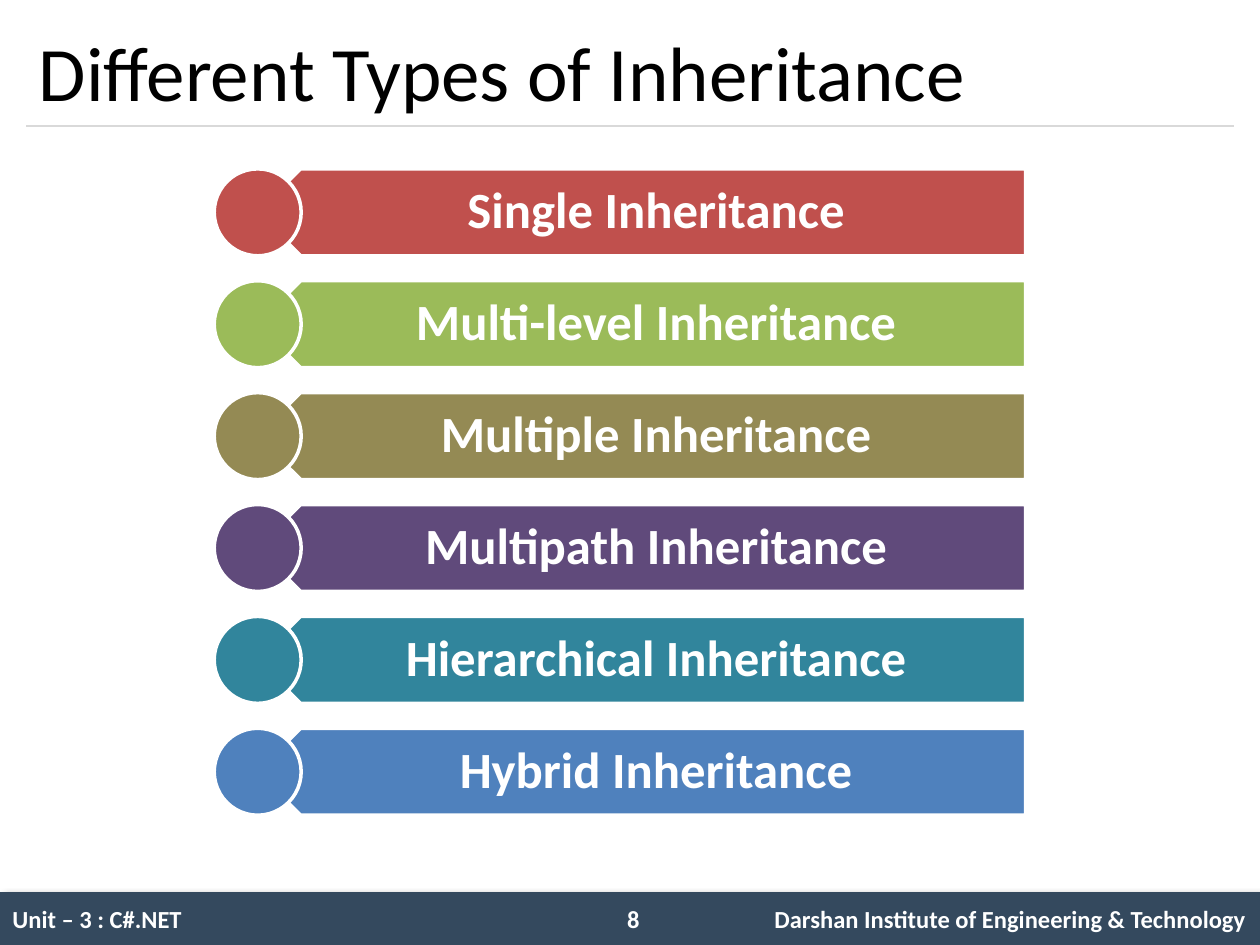
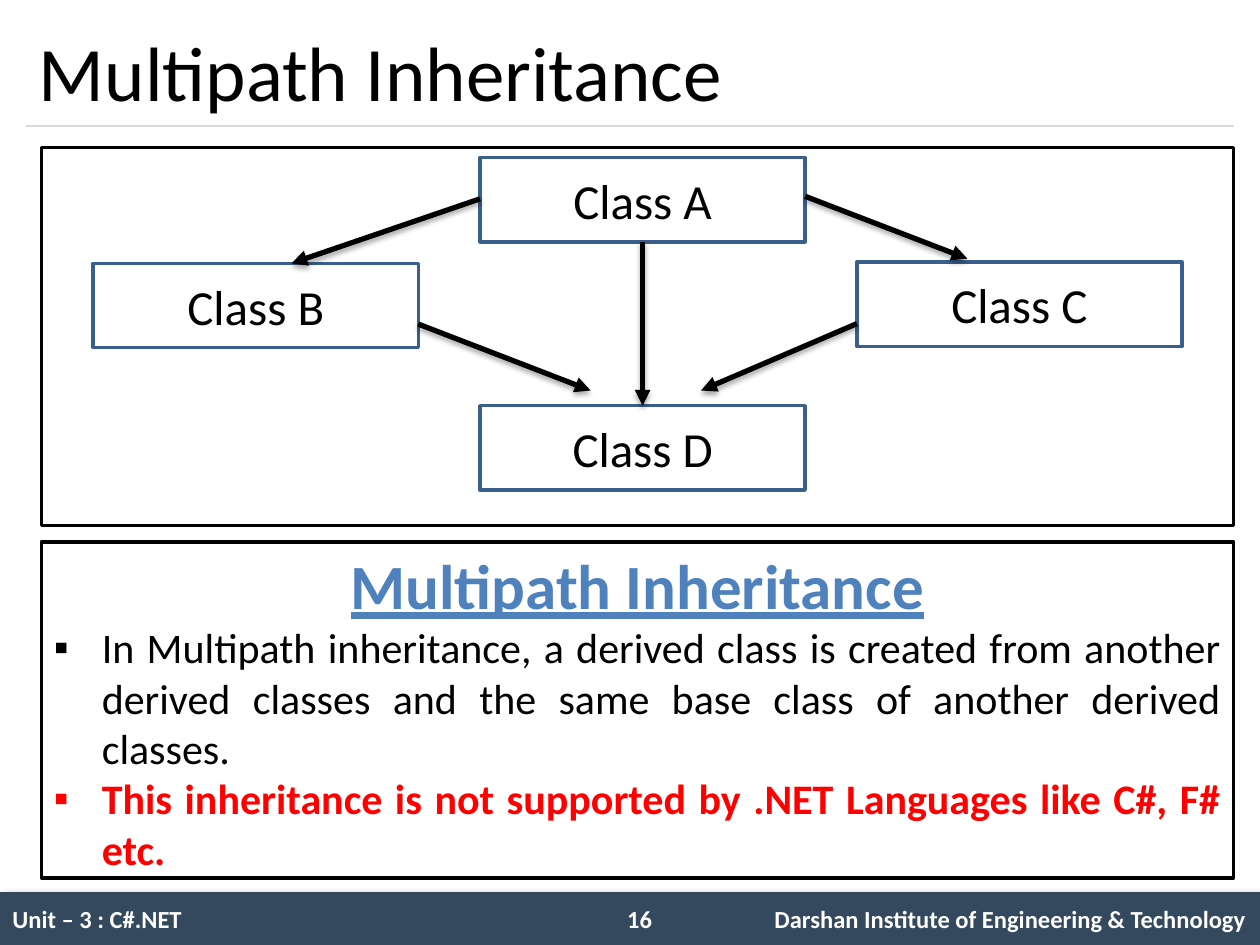
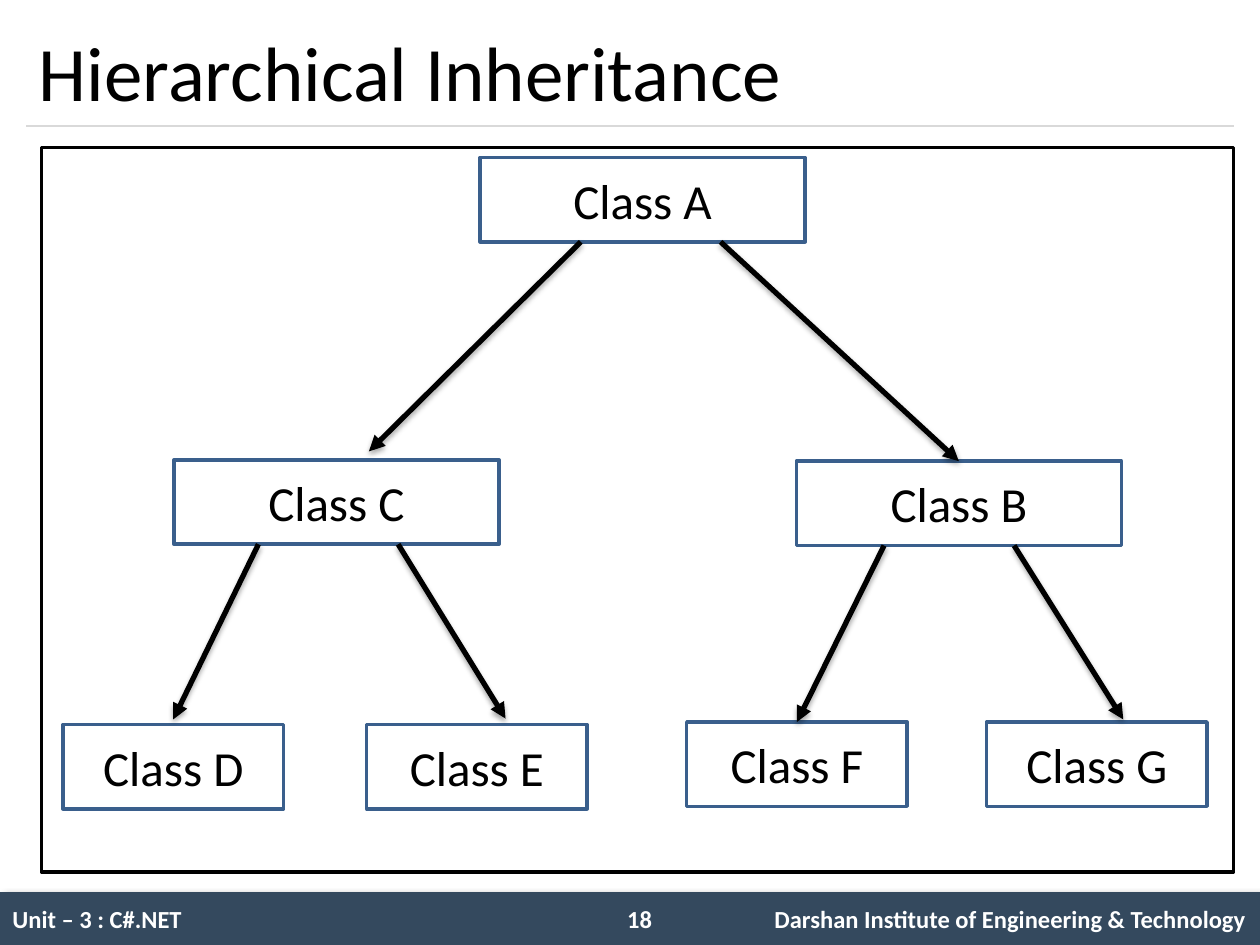
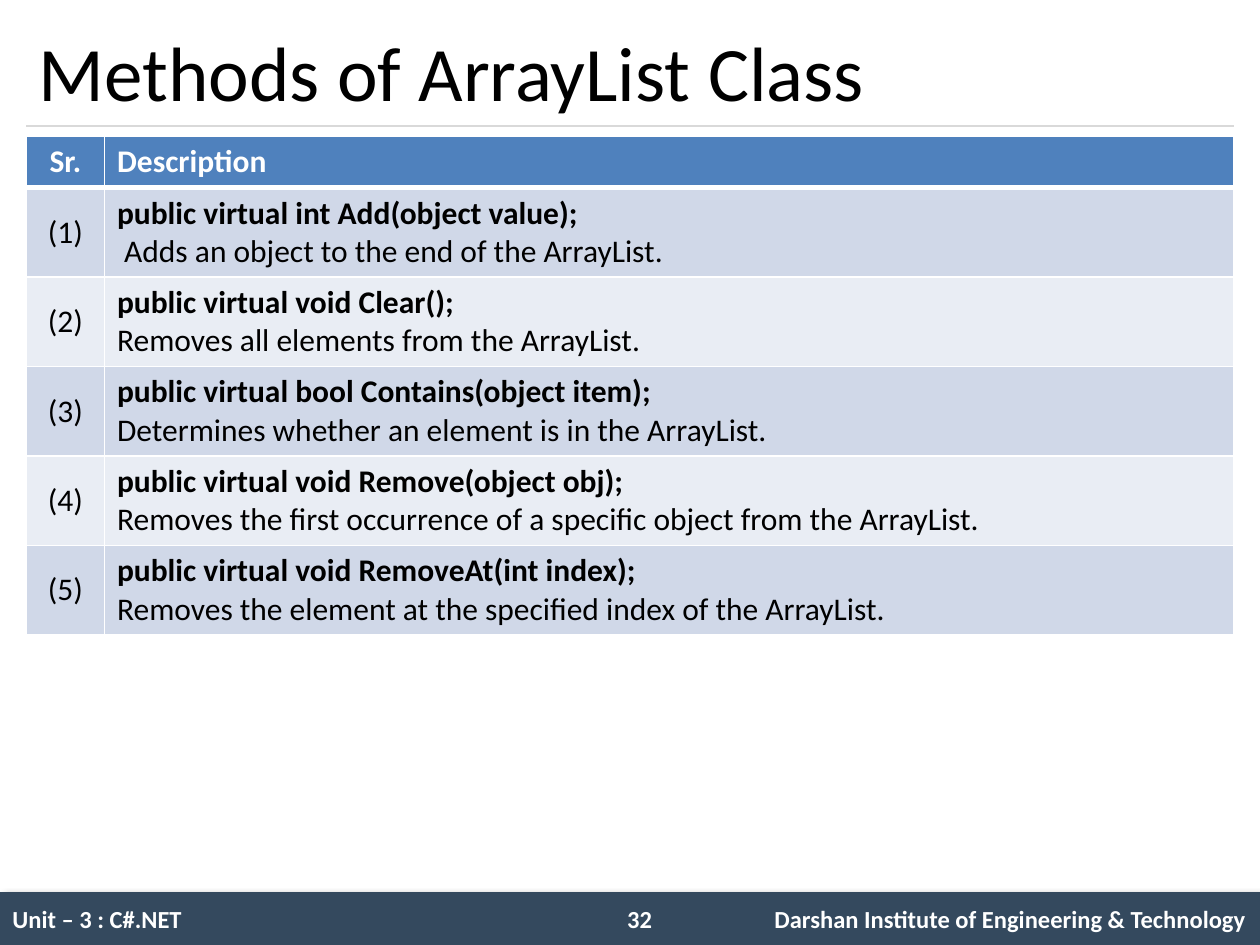
from dataclasses import dataclass
from lxml.etree import SubElement
from pptx import Presentation
from pptx.dml.color import RGBColor
from pptx.enum.shapes import MSO_CONNECTOR, MSO_SHAPE
from pptx.enum.text import MSO_ANCHOR, PP_ALIGN
from pptx.oxml import parse_xml
from pptx.oxml.ns import nsdecls, qn
from pptx.util import Inches, Pt

UNIT = 0.1  # inches per grid step: the slide is 100 columns by 75 rows


@dataclass(frozen=True)
class Theme:
    font: str = "Calibri"
    black: str = "000000"
    white: str = "FFFFFF"
    red: str = "FF0000"
    blue: str = "4F81BD"
    node_line: str = "3A5F8C"
    footer: str = "34495E"
    rule: str = "D9D9D9"
    row_fills: tuple = ("D0D8E8", "E9EDF4")
    list_fills: tuple = ("C0504D", "9BBB59", "948A54", "604A7B", "31859C", "4F81BD")
    title_pt: int = 44
    heading_pt: int = 36
    list_pt: int = 29
    node_pt: int = 28
    body_pt: int = 24
    table_pt: int = 18
    footer_pt: int = 14


T = Theme()


@dataclass(frozen=True)
class Box:
    """Area in grid steps."""
    x: float
    y: float
    w: float
    h: float

    def sub(self, x, y, w, h):
        return Box(self.x + x, self.y + y, w, h)

    def point(self, fx, fy):
        """Point at shares of the box's width and height."""
        return self.x + fx * self.w, self.y + fy * self.h

    def emu(self):
        return [grid(v) for v in (self.x, self.y, self.w, self.h)]


SLIDE = Box(0, 0, 100, 75)
TITLE = SLIDE.sub(2.1, 1.2, 95.8, 8.8)
FOOTER = SLIDE.sub(0, 70.8, 100, 4.2)
TYPE_LIST = SLIDE.sub(17, 13.4, 64.4, 51.3)
DIAGRAM = SLIDE.sub(3.3, 11.7, 94.6, 30)
NOTES = SLIDE.sub(3.3, 43, 94.6, 26.7)
TREE = SLIDE.sub(3.3, 11.7, 94.6, 57.5)
METHODS = SLIDE.sub(2.1, 10.8, 95.8, 39.6)


def grid(v):
    return Inches(v * UNIT)


def rgb(hex_color):
    return RGBColor.from_string(hex_color)


def write(tf, text, size, color=T.black, bold=False, underline=False,
          align=PP_ALIGN.LEFT, spacing=None, bullet=None, indent=0, tabs=(), new=False):
    """Write one paragraph: the first one, or an added one if new."""
    p = tf.add_paragraph() if new else tf.paragraphs[0]
    p.alignment = align
    if spacing:
        p.line_spacing = spacing
    pPr = p._p.get_or_add_pPr()
    if bullet:
        pPr.set("marL", str(grid(indent)))
        pPr.set("indent", str(-grid(indent)))
        SubElement(pPr, qn("a:buFont"), typeface="Arial")
        SubElement(pPr, qn("a:buChar"), char=bullet)
    if tabs:
        stops = SubElement(pPr, qn("a:tabLst"))
        for pos, side in tabs:
            SubElement(stops, qn("a:tab"), pos=str(grid(pos)), algn=side)
    r = p.add_run()
    r.text = text
    f = r.font
    f.name, f.size, f.bold, f.underline = T.font, Pt(size), bold, underline
    f.color.rgb = rgb(color)


def text_box(s, box):
    tf = s.shapes.add_textbox(*box.emu()).text_frame
    tf.word_wrap = True
    tf.vertical_anchor = MSO_ANCHOR.MIDDLE
    return tf


def add_shape(s, kind, box, fill=T.white, line=None):
    sp = s.shapes.add_shape(kind, *box.emu())
    sp.shadow.inherit = False
    sp.fill.solid()
    sp.fill.fore_color.rgb = rgb(fill)
    if line:
        sp.line.color.rgb = rgb(line)
        sp.line.width = Pt(2)
    else:
        sp.line.fill.background()
    sp.text_frame.vertical_anchor = MSO_ANCHOR.MIDDLE
    return sp


def set_shadow(sp, alpha=0, blur=0, dist=0, angle=0):
    """Replace the effects by one outer shadow, or by none when alpha is 0."""
    spPr = sp._element.spPr
    for old in spPr.findall(qn("a:effectLst")):
        spPr.remove(old)
    effects = SubElement(spPr, qn("a:effectLst"))
    if alpha:
        outer = SubElement(effects, qn("a:outerShdw"), blurRad=str(Pt(blur)),
                           dist=str(Pt(dist)), dir=str(angle * 60000), rotWithShape="0")
        color = SubElement(outer, qn("a:srgbClr"), val=T.black)
        SubElement(color, qn("a:alpha"), val=str(alpha * 1000))


def add_line(s, start, end, color, width):
    ends = [grid(v) for v in (*start, *end)]
    c = s.shapes.add_connector(MSO_CONNECTOR.STRAIGHT, *ends)
    c.line.color.rgb = rgb(color)
    c.line.width = Pt(width)
    set_shadow(c)
    return c


def add_arrow(s, start, end):
    c = add_line(s, start, end, T.black, 3)
    SubElement(c.line._get_or_add_ln(), qn("a:tailEnd"), type="triangle")
    set_shadow(c, alpha=35, blur=3.1, dist=1.8, angle=90)


def add_footer(s, box, number):
    band = add_shape(s, MSO_SHAPE.RECTANGLE, box, T.footer)
    set_shadow(band, alpha=40, blur=4, dist=3, angle=45)
    write(band.text_frame,
          f"Unit – 3 : C#.NET\t{number}\tDarshan Institute of Engineering & Technology",
          T.footer_pt, T.white, bold=True, tabs=((48.8, "l"), (97.9, "r")))


def new_slide(prs, title, number):
    s = prs.slides.add_slide(prs.slide_layouts[6])
    add_footer(s, FOOTER, number)
    add_line(s, TITLE.point(0, 1), TITLE.point(1, 1), T.rule, 0.75)
    write(text_box(s, TITLE), title, T.title_pt)
    return s


def add_type_list(s, box, names):
    """Stack equal bars, each with a disc over its pointed left end."""
    size = 6.9
    pitch = (box.h - size) / (len(names) - 1)
    for i, (name, fill) in enumerate(zip(names, T.list_fills)):
        row = box.sub(0, i * pitch, box.w, size)
        bar = add_shape(s, MSO_SHAPE.PENTAGON, row.sub(3.4, 0, row.w - 3.4, size), fill, T.white)
        bar.rotation = 180
        tf = text_box(s, row.sub(5.1, 0, row.w - 5.1, size))
        tf.margin_left, tf.margin_right = grid(3), grid(2.3)
        write(tf, name, T.list_pt, T.white, bold=True, align=PP_ALIGN.CENTER, spacing=0.9)
        add_shape(s, MSO_SHAPE.OVAL, row.sub(0, 0, size, size), fill, T.white)


def add_class_diagram(s, box, nodes, arrows):
    """nodes: letter -> x, y, width; arrows: letter and shares of its box, twice."""
    add_shape(s, MSO_SHAPE.RECTANGLE, box, line=T.black)
    boxes = {}
    for letter, (x, y, w) in nodes.items():
        boxes[letter] = box.sub(x, y, w, 6.7)
        node = add_shape(s, MSO_SHAPE.RECTANGLE, boxes[letter], line=T.node_line)
        write(node.text_frame, f"Class {letter}", T.node_pt, align=PP_ALIGN.CENTER)
    for parent, start, child, end in arrows:
        add_arrow(s, boxes[parent].point(*start), boxes[child].point(*end))


def add_notes_panel(s, box, heading, points):
    tf = add_shape(s, MSO_SHAPE.RECTANGLE, box, line=T.black).text_frame
    tf.word_wrap = True
    write(tf, heading, T.heading_pt, T.blue, bold=True, underline=True, align=PP_ALIGN.CENTER)
    for text, color, bold in points:
        write(tf, text, T.body_pt, color, bold=bold, align=PP_ALIGN.JUSTIFY,
              bullet="▪", indent=3.8, new=True)


def style_cell(cell, fill, bottom=1):
    cell.fill.solid()
    cell.fill.fore_color.rgb = rgb(fill)
    tcPr = cell._tc.get_or_add_tcPr()
    for i, (side, width) in enumerate((("L", 1), ("R", 1), ("T", 1), ("B", bottom))):
        tcPr.insert(i, parse_xml(
            f'<a:ln{side} {nsdecls("a")} w="{Pt(width)}"><a:solidFill>'
            f'<a:srgbClr val="{T.white}"/></a:solidFill></a:ln{side}>'))


def add_method_table(s, box, methods):
    head_h, number_w = 4.1, 6.2
    table = s.shapes.add_table(len(methods) + 1, 2, *box.emu()).table
    table.columns[0].width = grid(number_w)
    table.columns[1].width = grid(box.w - number_w)
    for i, row in enumerate(table.rows):
        row.height = grid((box.h - head_h) / len(methods) if i else head_h)
        for cell in row.cells:
            style_cell(cell, T.row_fills[(i - 1) % 2] if i else T.blue, 1 if i else 3)
        row.cells[0].vertical_anchor = MSO_ANCHOR.MIDDLE

    number, text = (table.cell(0, c).text_frame for c in (0, 1))
    write(number, "Sr.", T.table_pt, T.white, bold=True, align=PP_ALIGN.CENTER)
    write(text, "Description", T.table_pt, T.white, bold=True)
    for i, (signature, meaning) in enumerate(methods, 1):
        number, text = (table.cell(i, c).text_frame for c in (0, 1))
        write(number, f"({i})", T.table_pt, align=PP_ALIGN.CENTER)
        write(text, signature, T.table_pt, bold=True)
        write(text, meaning, T.table_pt, new=True)


def types_slide(prs):
    s = new_slide(prs, "Different Types of Inheritance", 8)
    kinds = ("Single", "Multi-level", "Multiple", "Multipath", "Hierarchical", "Hybrid")
    add_type_list(s, TYPE_LIST, [f"{kind} Inheritance" for kind in kinds])


def multipath_slide(prs):
    s = new_slide(prs, "Multipath Inheritance", 16)
    w = 25.8
    add_class_diagram(
        s, DIAGRAM,
        {"A": (34.8, 0.8, w), "B": (4.1, 9.2, w), "C": (64.7, 9.1, w), "D": (34.8, 20.5, w)},
        [("B", (1, 0.72), "D", (0.34, -0.18)),
         ("C", (0, 0.73), "D", (0.68, -0.18)),
         ("A", (0.5, 1), "D", (0.5, 0)),
         ("A", (0, 0.49), "B", (0.61, 0)),
         ("A", (1, 0.46), "C", (0.34, -0.04))])
    add_notes_panel(s, NOTES, "Multipath Inheritance", [
        ("In Multipath inheritance, a derived class is created from another derived classes "
         "and the same base class of another derived classes.", T.black, False),
        ("This inheritance is not supported by .NET Languages like C#, F# etc.", T.red, True)])


def hierarchical_slide(prs):
    s = new_slide(prs, "Hierarchical Inheritance", 18)
    wide, narrow = 25.8, 17.5
    add_class_diagram(
        s, TREE,
        {"A": (34.8, 0.8, wide), "C": (10.5, 24.8, wide), "B": (59.9, 24.9, wide),
         "D": (1.7, 45.8, narrow), "E": (25.8, 45.8, narrow),
         "F": (51.2, 45.6, narrow), "G": (75, 45.6, narrow)},
        [("A", (0.31, 1), "C", (0.6, -0.1)),
         ("A", (0.74, 1), "B", (0.5, 0)),
         ("C", (0.26, 1), "D", (0.5, -0.06)),
         ("C", (0.69, 1), "E", (0.63, -0.07)),
         ("B", (0.67, 1), "G", (0.62, -0.03)),
         ("B", (0.27, 1), "F", (0.5, 0))])


def methods_slide(prs):
    s = new_slide(prs, "Methods of ArrayList Class", 32)
    add_method_table(s, METHODS, [
        ("public virtual int Add(object value);",
         " Adds an object to the end of the ArrayList."),
        ("public virtual void Clear();",
         "Removes all elements from the ArrayList."),
        ("public virtual bool Contains(object item);",
         "Determines whether an element is in the ArrayList."),
        ("public virtual void Remove(object obj);",
         "Removes the first occurrence of a specific object from the ArrayList."),
        ("public virtual void RemoveAt(int index);",
         "Removes the element at the specified index of the ArrayList.")])


def main():
    prs = Presentation()
    prs.slide_width, prs.slide_height = grid(SLIDE.w), grid(SLIDE.h)
    for build in (types_slide, multipath_slide, hierarchical_slide, methods_slide):
        build(prs)
    prs.save("out.pptx")


if __name__ == "__main__":
    main()
